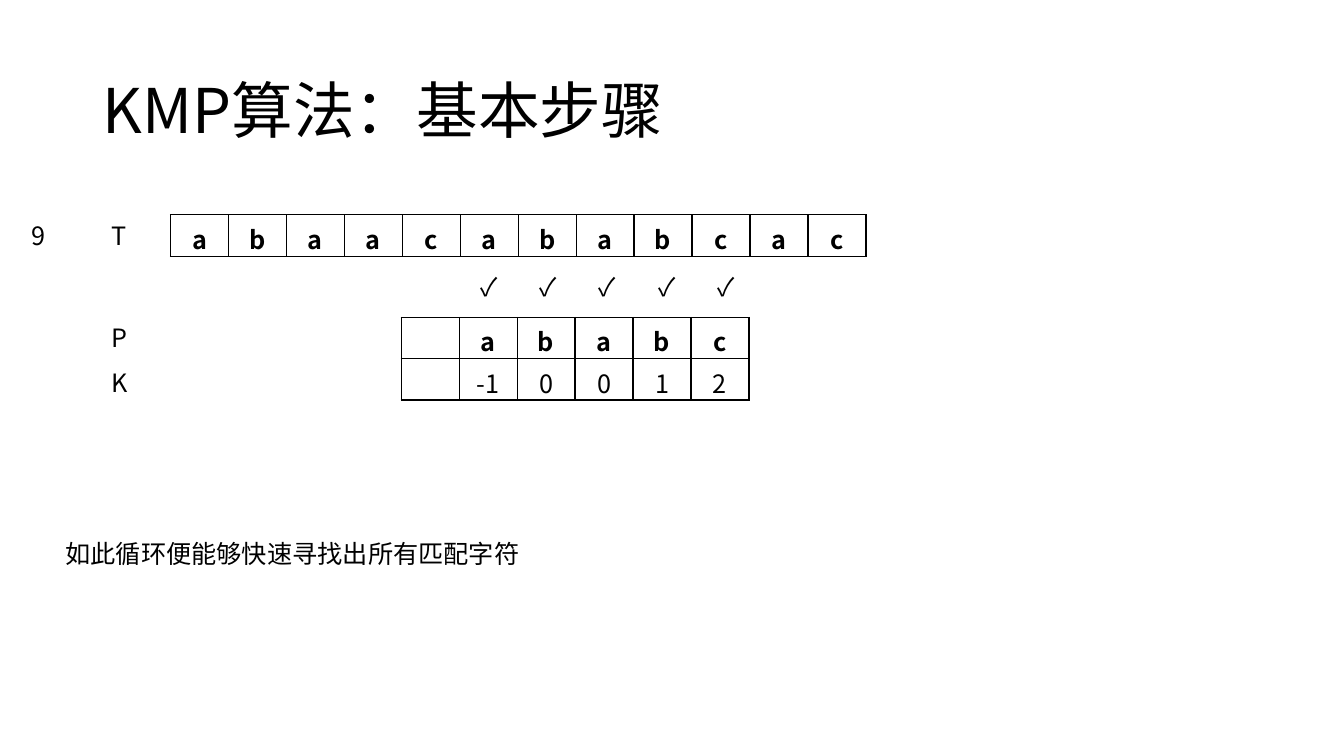
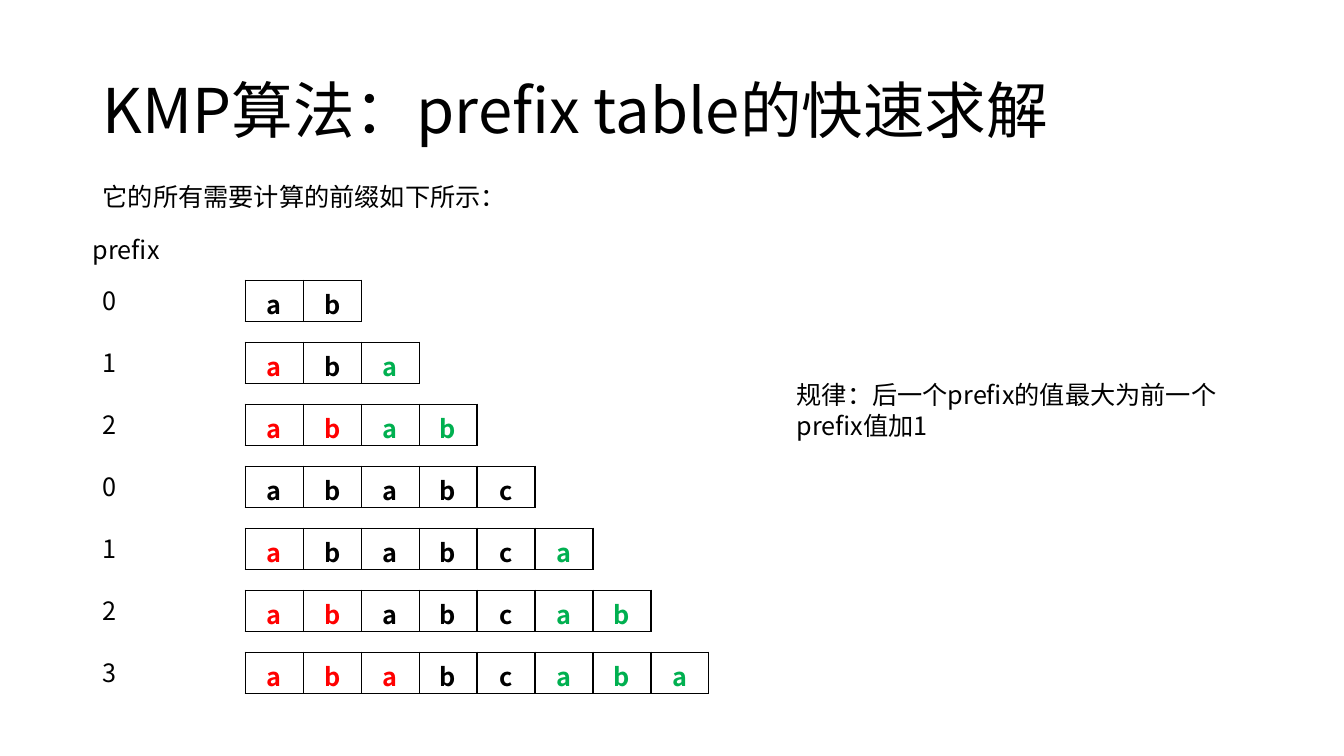
from lxml.etree import SubElement
from pptx import Presentation
from pptx.dml.color import RGBColor as Rgb
from pptx.enum.text import MSO_ANCHOR as Anchor, MSO_AUTO_SIZE as AutoSize, PP_ALIGN as Align
from pptx.oxml.ns import qn
from pptx.util import Inches, Pt

FONT = "Noto Sans CJK SC"
COLORS = {"ink": "000000", "paper": "FFFFFF", "head": "FF0000", "tail": "00B050"}
COLUMN, ROW = Inches(0.575), Inches(0.41)
LABEL_WIDTH = 0.59


class Lesson:
    """Holds the deck, its style and the current page; lengths are grid columns and rows."""

    def __init__(self):
        self.deck = Presentation()
        self.deck.slide_width, self.deck.slide_height = Inches(13.33), Inches(7.5)
        self.page = None

    def add_page(self, title):
        self.page = self.deck.slides.add_slide(self.deck.slide_layouts[6])
        frame = self.add_text(title, 1.6, 0.98, 20, 3.54, size=44, grow=False)
        frame.vertical_anchor = Anchor.MIDDLE
        frame.paragraphs[0].line_spacing = 0.9

    def style_text(self, para, size=18, color="ink", bold=False):
        for span in para.runs:
            span.font.name, span.font.size, span.font.bold = FONT, Pt(size), bold
            span.font.color.rgb = Rgb.from_string(COLORS[color])
            for tag in ("a:ea", "a:sym"):
                SubElement(span.font._element, qn(tag), typeface=FONT)

    def add_text(self, text, column, row, width=LABEL_WIDTH, height=0.98,
                 size=18, wrap=True, grow=True):
        box = self.page.shapes.add_textbox(
            round(column * COLUMN), round(row * ROW), round(width * COLUMN), round(height * ROW))
        frame = box.text_frame
        frame.text = text
        frame.word_wrap = wrap
        frame.auto_size = AutoSize.SHAPE_TO_FIT_TEXT if grow else AutoSize.NONE
        self.style_text(frame.paragraphs[0], size)
        return frame

    def add_label(self, text, column, row, width=LABEL_WIDTH):
        self.add_text(text, column, row, width, wrap=False)

    def add_cells(self, rows, column, row, colors=None):
        """Draws a grid of characters whose first row is bold."""
        count = len(rows[0])
        table = self.page.shapes.add_table(
            len(rows), count, round(column * COLUMN), round(row * ROW),
            count * COLUMN, len(rows) * ROW).table
        table.first_row = table.horz_banding = False
        for y, values in enumerate(rows):
            for x, value in enumerate(values):
                cell = table.cell(y, x)
                self.add_borders(cell)
                cell.fill.solid()
                cell.fill.fore_color.rgb = Rgb.from_string(COLORS["paper"])
                para = cell.text_frame.paragraphs[0]
                para.text = value
                para.alignment = Align.CENTER
                self.style_text(para, color=colors[x] if colors else "ink", bold=y == 0)

    def add_borders(self, cell):
        properties = cell._tc.get_or_add_tcPr()
        for side in ("a:lnL", "a:lnR", "a:lnT", "a:lnB"):
            line = SubElement(properties, qn(side), w=str(Pt(1)))
            fill = SubElement(line, qn("a:solidFill"))
            SubElement(fill, qn("a:srgbClr"), val=COLORS["ink"])


def add_matching_page(lesson):
    lesson.add_page("KMP算法：基本步骤")
    lesson.add_label("9", 0.38, 5.2)
    for text, row in (("T", 5.2), ("P", 7.68), ("K", 8.76)):
        lesson.add_label(text, 1.76, row)
    lesson.add_cells(["abaacababcac"], 2.94, 5.2)
    lesson.add_cells([["", *"ababc"], ["", "-1", "0", "0", "1", "2"]], 6.92, 7.68)
    for index in range(5):
        lesson.add_label("✓", 8.12 + 1.02 * index, 6.44, 0.68)
    lesson.add_label("如此循环便能够快速寻找出所有匹配字符", 0.96, 12.9, 8.26)


def add_prefix_page(lesson):
    lesson.add_page("KMP算法：prefix table的快速求解")
    lesson.add_text("它的所有需要计算的前缀如下所示：", 1.6, 4.27, 11.6)
    lesson.add_text("prefix", 1.43, 5.54, 11.6)
    pattern = "ababcaba"
    for index, overlap in enumerate((0, 1, 2, 0, 1, 2, 3)):
        length, row = index + 2, 6.78 + 1.5 * index
        colors = ["head" if x < overlap else "tail" if x >= length - overlap else "ink"
                  for x in range(length)]
        lesson.add_label(str(overlap), 1.59, row)
        lesson.add_cells([pattern[:length]], 4.23, row, colors)
    lesson.add_text("规律：后一个prefix的值最大为前一个prefix值加1", 13.57, 9.07, 8.21, 1.73)


def main():
    lesson = Lesson()
    add_matching_page(lesson)
    add_prefix_page(lesson)
    lesson.deck.save("out.pptx")


if __name__ == "__main__":
    main()
